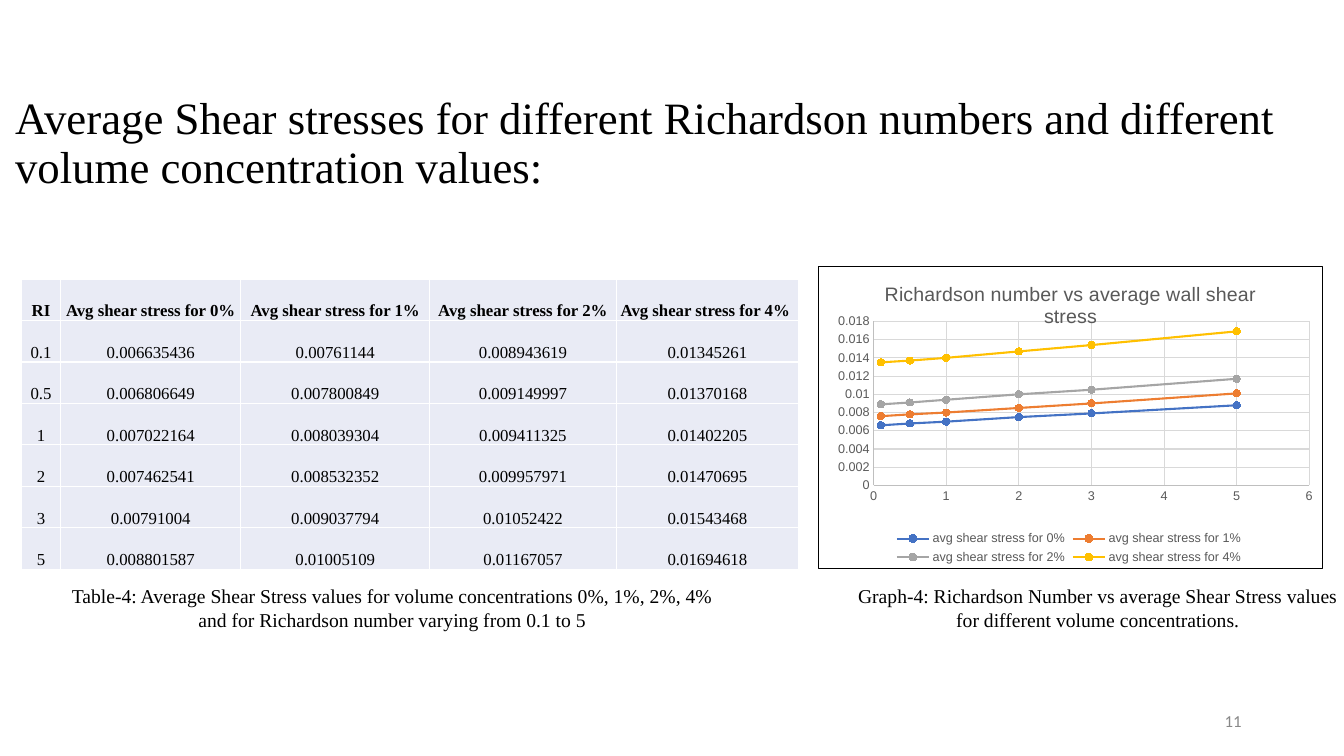
"""Build the slide on average shear stress against Richardson number."""
from dataclasses import dataclass
from typing import Optional

from lxml import etree
from pptx import Presentation
from pptx.chart.axis import ValueAxis
from pptx.chart.chart import Chart
from pptx.chart.data import XyChartData
from pptx.chart.series import XySeries
from pptx.dml.color import RGBColor
from pptx.enum.chart import XL_CHART_TYPE as ChartType
from pptx.enum.chart import XL_LEGEND_POSITION as LegendPosition
from pptx.enum.chart import XL_MARKER_STYLE as MarkerStyle
from pptx.enum.chart import XL_TICK_MARK as TickMark
from pptx.enum.text import MSO_ANCHOR as Anchor
from pptx.enum.text import PP_ALIGN as Align
from pptx.oxml import parse_xml
from pptx.oxml.ns import nsdecls, qn
from pptx.slide import Slide
from pptx.table import _Cell as Cell
from pptx.text.text import Font, _Paragraph as Paragraph
from pptx.util import Cm, Pt

SERIF = "Times New Roman"
GREY = "595959"
HEADINGS = ["RI", "Avg shear stress for 0%", "Avg shear stress for 1%",
            "Avg shear stress for 2%", "Avg shear stress for 4% "]
STRESSES = [
    ["0.1", "0.006635436", "0.00761144", "0.008943619", "0.01345261"],
    ["0.5", "0.006806649", "0.007800849", "0.009149997", "0.01370168"],
    ["1", "0.007022164", "0.008039304", "0.009411325", "0.01402205"],
    ["2", "0.007462541", "0.008532352", "0.009957971", "0.01470695"],
    ["3", "0.00791004", "0.009037794", "0.01052422", "0.01543468"],
    ["5", "0.008801587", "0.01005109", "0.01167057", "0.01694618"],
]
COLUMN_WIDTHS = [0.99, 4.54, 4.76, 4.7, 4.6]
TABLE_HEIGHT = 7.32
SERIES_COLORS = ["4472C4", "ED7D31", "A5A5A5", "FFC000"]
PLOT_AREA = {"x": 0.109, "y": 0.181, "w": 0.865, "h": 0.544}


@dataclass
class TextBlock:
    """A text box with one paragraph; lengths in centimetres."""
    text: str
    left: float
    top: float
    width: float
    height: float
    size: float
    align: Align = Align.CENTER
    anchor: Anchor = Anchor.TOP
    font: str = SERIF
    color: str = "000000"
    line_spacing: Optional[float] = None


TEXT_BLOCKS = [
    TextBlock("Average Shear stresses for different Richardson numbers and "
              "different volume concentration values:",
              0.13, 1.86, 33.2, 3.56, 32, Align.LEFT, Anchor.MIDDLE, line_spacing=0.9),
    TextBlock("11", 23.92, 17.65, 7.62, 1.02, 12, Align.RIGHT, Anchor.MIDDLE,
              "Calibri", "888888"),
    TextBlock("Table-4: Average Shear Stress values for volume concentrations "
              "0%, 1%, 2%, 4% and for Richardson number varying from 0.1 to 5",
              1.42, 14.59, 16.94, 1.45, 14),
    TextBlock("Graph-4: Richardson Number vs average Shear Stress values "
              "for different volume concentrations.",
              21.17, 14.59, 13, 1.45, 14),
]


def rgb(color: str) -> RGBColor:
    """Turn a hex string into a colour."""
    return RGBColor.from_string(color)


def style_font(font: Font, name: str, size: float, color: str, bold: bool = False) -> None:
    """Set the face, size, colour and weight of a font."""
    font.name, font.size, font.bold = name, Pt(size), bold
    font.color.rgb = rgb(color)


def add_run(paragraph: Paragraph, text: str, name: str, size: float, color: str,
            bold: bool = False) -> None:
    """Append one styled run."""
    run = paragraph.add_run()
    run.text = text
    style_font(run.font, name, size, color, bold)


def add_text(slide: Slide, block: TextBlock) -> None:
    """Draw a text block."""
    box = slide.shapes.add_textbox(Cm(block.left), Cm(block.top),
                                   Cm(block.width), Cm(block.height))
    frame = box.text_frame
    frame.word_wrap = True
    frame.vertical_anchor = block.anchor
    paragraph = frame.paragraphs[0]
    paragraph.alignment = block.align
    paragraph.line_spacing = block.line_spacing
    add_run(paragraph, block.text, block.font, block.size, block.color)


def fill_cell(cell: Cell, text: str, bold: bool) -> None:
    """Write one table cell with white borders and a pale fill."""
    properties = cell._tc.get_or_add_tcPr()
    for side in "LRTB":
        properties.append(parse_xml(
            f'<a:ln{side} {nsdecls("a")} w="12700"><a:solidFill>'
            f'<a:srgbClr val="FFFFFF"/></a:solidFill></a:ln{side}>'))
    cell.fill.solid()
    cell.fill.fore_color.rgb = rgb("E9EBF5")
    cell.margin_left = cell.margin_right = cell.margin_top = Cm(0.02)
    cell.margin_bottom = Cm(0)
    cell.vertical_anchor = Anchor.BOTTOM
    paragraph = cell.text_frame.paragraphs[0]
    paragraph.alignment = Align.CENTER
    add_run(paragraph, text, SERIF, 12, "000000", bold)


def add_stress_table(slide: Slide) -> None:
    """Draw the table of shear stresses."""
    rows = [HEADINGS, *STRESSES]
    table = slide.shapes.add_table(
        len(rows), len(HEADINGS), Cm(0.54), Cm(7.03),
        Cm(sum(COLUMN_WIDTHS)), Cm(TABLE_HEIGHT)).table
    table.first_row = table.horz_banding = False
    for column, width in zip(table.columns, COLUMN_WIDTHS):
        column.width = Cm(width)
    for row_index, texts in enumerate(rows):
        for column_index, text in enumerate(texts):
            fill_cell(table.cell(row_index, column_index), text, row_index == 0)


def style_axis(axis: ValueAxis, maximum: float, step: float) -> None:
    """Set the scale, gridlines and labels of an axis."""
    axis.minimum_scale, axis.maximum_scale, axis.major_unit = 0, maximum, step
    axis.major_tick_mark = axis.minor_tick_mark = TickMark.NONE
    axis.has_major_gridlines = True
    for line, color in ((axis.format.line, "BFBFBF"),
                        (axis.major_gridlines.format.line, "D9D9D9")):
        line.color.rgb = rgb(color)
        line.width = Pt(0.75)
    style_font(axis.tick_labels.font, "Arial", 9, GREY)


def style_series(series: XySeries, color: str) -> None:
    """Colour a series and its round markers."""
    series.smooth = True
    series.format.line.color.rgb = rgb(color)
    series.format.line.width = Pt(1.5)
    marker = series.marker
    marker.style, marker.size = MarkerStyle.CIRCLE, 5
    marker.format.fill.solid()
    marker.format.fill.fore_color.rgb = rgb(color)
    marker.format.line.color.rgb = rgb(color)


def frame_chart(chart: Chart) -> None:
    """Fix the inner plot area and outline the chart."""
    plot_area = chart._chartSpace.find(".//" + qn("c:plotArea"))
    for layout in plot_area.findall(qn("c:layout")):
        plot_area.remove(layout)
    layout = parse_xml(f'<c:layout {nsdecls("c")}><c:manualLayout/></c:layout>')
    settings = {"layoutTarget": "inner", "xMode": "edge", "yMode": "edge", **PLOT_AREA}
    for name, value in settings.items():
        etree.SubElement(layout[0], qn(f"c:{name}")).set("val", str(value))
    plot_area.insert(0, layout)
    chart._chartSpace.find(qn("c:chart")).addnext(parse_xml(
        f'<c:spPr {nsdecls("c", "a")}><a:solidFill><a:srgbClr val="FFFFFF"/></a:solidFill>'
        '<a:ln w="9525"><a:solidFill><a:srgbClr val="000000"/></a:solidFill></a:ln></c:spPr>'))


def add_stress_chart(slide: Slide) -> None:
    """Draw shear stress against Richardson number."""
    data = XyChartData()
    numbers, *columns = zip(*STRESSES)
    for heading, column in zip(HEADINGS[1:], columns):
        points = data.add_series(heading.replace("Avg", "avg"))
        for number, stress in zip(numbers, column):
            points.add_data_point(float(number), round(float(stress), 4))
    chart = slide.shapes.add_chart(ChartType.XY_SCATTER_SMOOTH, Cm(20.62), Cm(6.71),
                                   Cm(12.72), Cm(7.63), data).chart
    style_font(chart.font, "Arial", 10, "000000")
    chart.has_title = True
    add_run(chart.chart_title.text_frame.paragraphs[0],
            "Richardson number vs average wall shear stress", "Arial", 14, GREY)
    chart.has_legend = True
    chart.legend.position = LegendPosition.BOTTOM
    chart.legend.include_in_layout = False
    style_font(chart.legend.font, "Arial", 9, GREY)
    style_axis(chart.category_axis, 6, 1)
    style_axis(chart.value_axis, 0.018, 0.002)
    chart.plots[0].vary_by_categories = False
    for series, color in zip(chart.plots[0].series, SERIES_COLORS):
        style_series(series, color)
    frame_chart(chart)


def main() -> None:
    """Build and save the presentation."""
    presentation = Presentation()
    presentation.slide_width, presentation.slide_height = Cm(33.87), Cm(19.05)
    slide = presentation.slides.add_slide(presentation.slide_layouts[6])
    for block in TEXT_BLOCKS:
        add_text(slide, block)
    add_stress_table(slide)
    add_stress_chart(slide)
    presentation.save("out.pptx")


if __name__ == "__main__":
    main()
